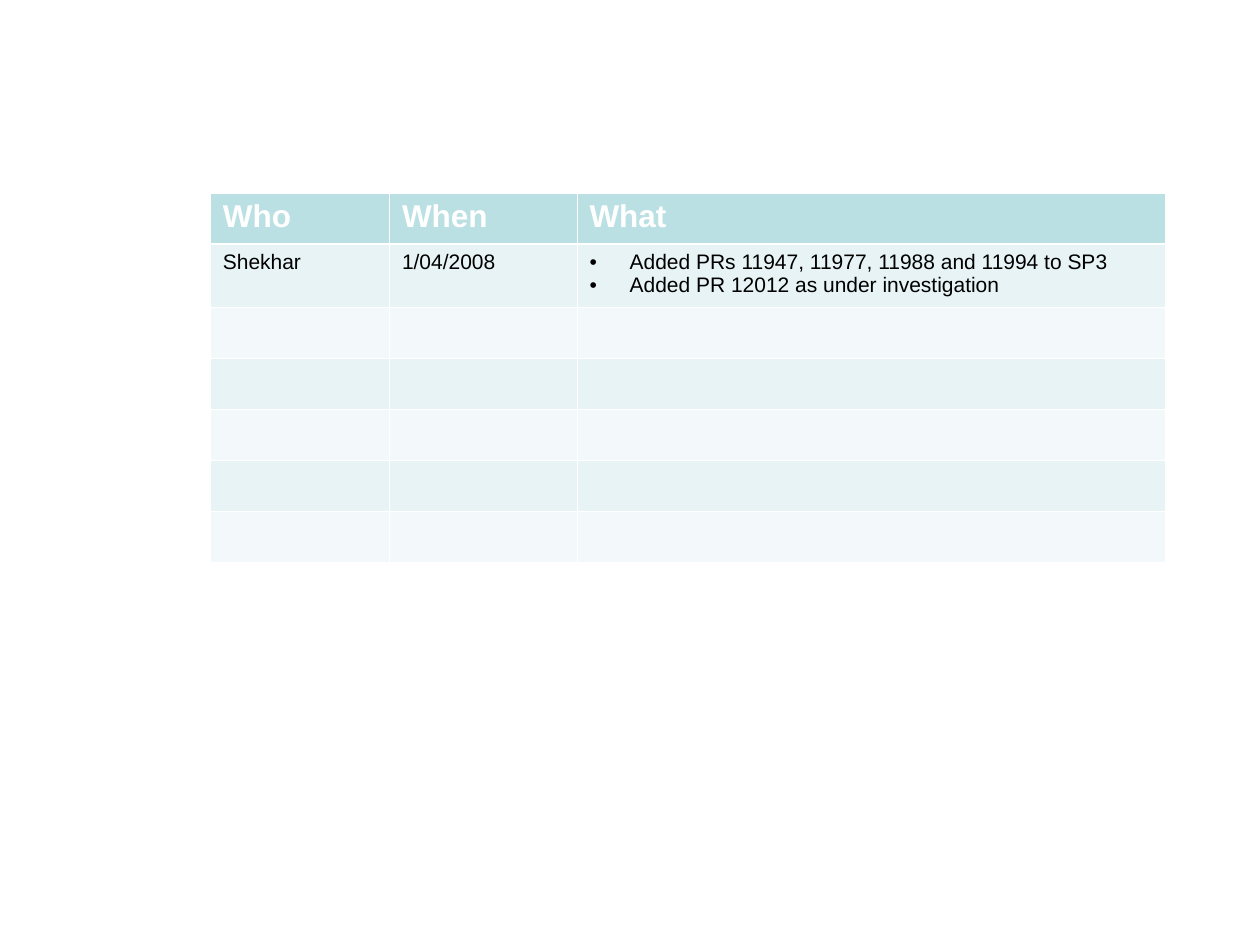
import pptx
import pptx.dml.color
import pptx.oxml.ns
import pptx.util
import lxml.etree

Cm = pptx.util.Cm
Pt = pptx.util.Pt

FONT = "Arial"
WHITE = "FFFFFF"
HEADER_FILL = "BBE0E3"
BAND_FILLS = ("E7F3F4", "F3F9FA")
COLUMN_WIDTHS = (3.61, 3.78, 11.86)
ROW_HEIGHT = 1.03
ENTRY_HEIGHT = 1.27
BULLET_INDENT = 0.81
HEADINGS = ("Who", "When", "What")
ENTRY = (
    "Shekhar",
    "1/04/2008",
    (
        "Added PRs 11947, 11977, 11988 and 11994 to SP3",
        "Added PR 12012 as under investigation",
    ),
)
EMPTY_ROWS = 5


def color(value):
    """Return the colour for a hex string."""
    return pptx.dml.color.RGBColor.from_string(value)


def add_element(parent, tag, **attributes):
    """Append a DrawingML element with the given attributes."""
    element = lxml.etree.SubElement(parent, pptx.oxml.ns.qn(tag))
    for name, value in attributes.items():
        element.set(name, str(value))
    return element


def add_bullet(paragraph):
    """Give a paragraph a round bullet with a hanging indent."""
    properties = paragraph._p.get_or_add_pPr()
    properties.set("marL", str(Cm(BULLET_INDENT)))
    properties.set("indent", str(-Cm(BULLET_INDENT)))
    add_element(properties, "a:buFont", typeface=FONT)
    add_element(properties, "a:buChar", char="•")


def write_text(paragraph, text, size=12, font_color="000000", bold=False, bullet=False):
    """Write formatted text into a paragraph."""
    run = paragraph.add_run()
    run.text = text
    run.font.name = FONT
    run.font.size = Pt(size)
    run.font.bold = bold
    run.font.color.rgb = color(font_color)
    if bullet:
        add_bullet(paragraph)


def style_cell(cell, fill, top=0.45, bottom=0.45):
    """Set the borders and the fill of a cell."""
    properties = cell._tc.get_or_add_tcPr()
    widths = {"a:lnL": 0.45, "a:lnR": 0.45, "a:lnT": top, "a:lnB": bottom}
    for tag, width in widths.items():
        line = add_element(properties, tag, w=Pt(width))
        add_element(add_element(line, "a:solidFill"), "a:srgbClr", val=WHITE)
    cell.fill.solid()
    cell.fill.fore_color.rgb = color(fill)


def add_history_table(slide):
    """Add the change history table with its banded rows."""
    row_heights = [ROW_HEIGHT, ENTRY_HEIGHT] + [ROW_HEIGHT] * EMPTY_ROWS
    frame = slide.shapes.add_table(
        len(row_heights), len(COLUMN_WIDTHS), Cm(4.24), Cm(3.89),
        Cm(sum(COLUMN_WIDTHS)), Cm(sum(row_heights)),
    )
    table = frame.table
    for column, width in zip(table.columns, COLUMN_WIDTHS):
        column.width = Cm(width)
    for index, (row, height) in enumerate(zip(table.rows, row_heights)):
        row.height = Cm(height)
        fill = BAND_FILLS[(index - 1) % 2] if index else HEADER_FILL
        for cell in row.cells:
            style_cell(
                cell, fill,
                top=1.47 if index == 1 else 0.45,
                bottom=1.47 if index == 0 else 0.45,
            )
    return table


def fill_history(table):
    """Write the headings and the history entry."""
    for column, heading in enumerate(HEADINGS):
        paragraph = table.cell(0, column).text_frame.paragraphs[0]
        write_text(paragraph, heading, size=18, font_color=WHITE, bold=True)
    for column, content in enumerate(ENTRY):
        text_frame = table.cell(1, column).text_frame
        bullet = isinstance(content, tuple)
        for index, text in enumerate(content if bullet else (content,)):
            paragraph = text_frame.add_paragraph() if index else text_frame.paragraphs[0]
            write_text(paragraph, text, bullet=bullet)


def main():
    """Build and save the presentation."""
    presentation = pptx.Presentation()
    presentation.slide_width = Cm(25.4)
    presentation.slide_height = Cm(19.05)
    slide = presentation.slides.add_slide(presentation.slide_layouts[6])
    fill_history(add_history_table(slide))
    presentation.save("out.pptx")


if __name__ == "__main__":
    main()
